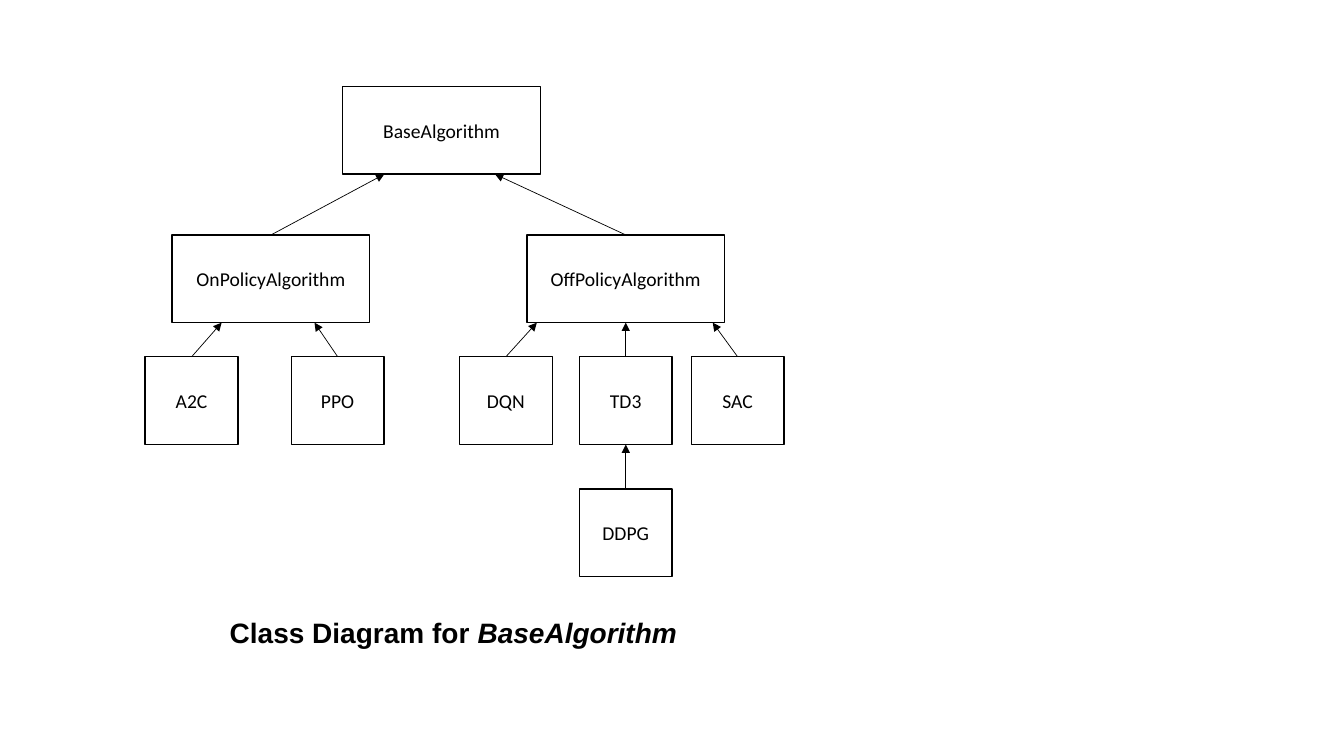
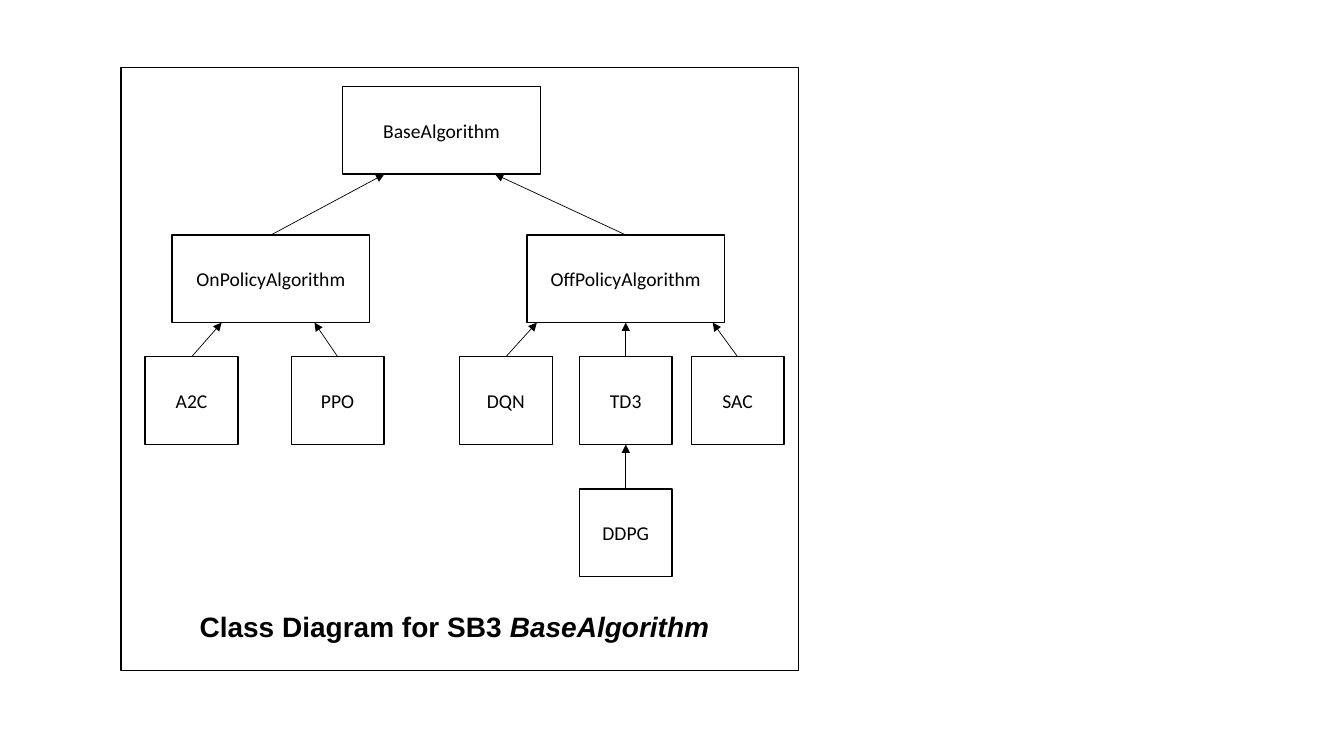
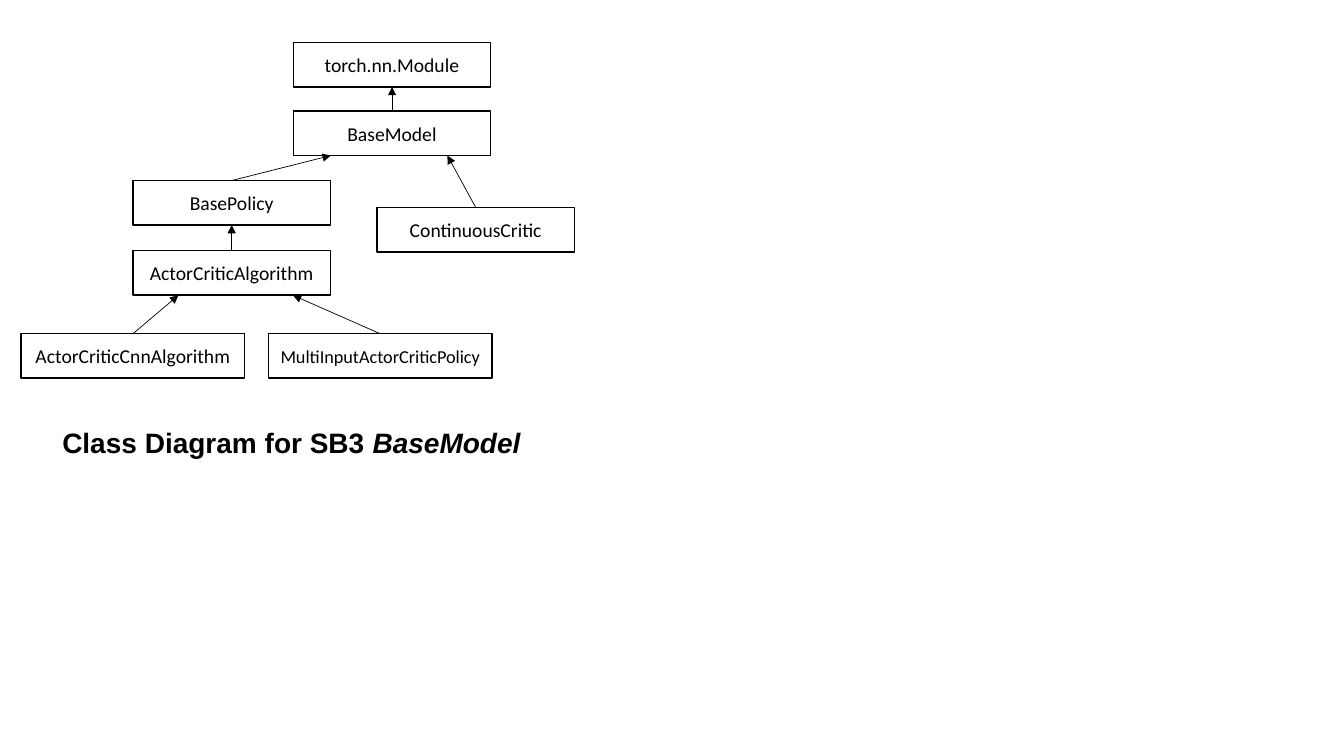
from lxml.etree import SubElement
from pptx import Presentation
from pptx.dml.color import RGBColor
from pptx.enum.shapes import MSO_CONNECTOR, MSO_SHAPE
from pptx.enum.text import MSO_ANCHOR, MSO_AUTO_SIZE, PP_ALIGN
from pptx.oxml.ns import qn
from pptx.util import Cm, Pt

BLACK = RGBColor(0x00, 0x00, 0x00)
WHITE = RGBColor(0xFF, 0xFF, 0xFF)
LABEL = {"name": "Calibri", "size": Pt(14)}
SMALL_LABEL = {"name": "Calibri", "size": Pt(13)}
CAPTION = {"name": "Arial", "size": Pt(20), "bold": True}

WIDE, NARROW, TALL = 4.98, 2.34, 2.21
LONG, LOW = 5.64, 1.12
TOP_Y, POLICY_Y, LEAF_Y, DDPG_Y = 0.48, 4.22, 7.29, 10.62

ALGORITHM_BOXES = {
    "BaseAlgorithm": (5.59, TOP_Y, WIDE, TALL),
    "OnPolicyAlgorithm": (1.29, POLICY_Y, WIDE, TALL),
    "OffPolicyAlgorithm": (10.23, POLICY_Y, WIDE, TALL),
    "A2C": (0.61, LEAF_Y, NARROW, TALL),
    "PPO": (4.29, LEAF_Y, NARROW, TALL),
    "DQN": (8.53, LEAF_Y, NARROW, TALL),
    "TD3": (11.55, LEAF_Y, NARROW, TALL),
    "DDPG": (11.55, DDPG_Y, NARROW, TALL),
    "SAC": (14.37, LEAF_Y, NARROW, TALL),
}
ALGORITHM_PARENTS = [
    ("SAC", "OffPolicyAlgorithm", 0.94),
    ("TD3", "OffPolicyAlgorithm", 0.5),
    ("DDPG", "TD3", 0.5),
    ("DQN", "OffPolicyAlgorithm", 0.05),
    ("OffPolicyAlgorithm", "BaseAlgorithm", 0.77),
    ("OnPolicyAlgorithm", "BaseAlgorithm", 0.21),
    ("A2C", "OnPolicyAlgorithm", 0.25),
    ("PPO", "OnPolicyAlgorithm", 0.72),
]
MODEL_BOXES = {
    "torch.nn.Module": (6.86, 0, WIDE, LOW),
    "BaseModel": (6.86, 1.73, WIDE, LOW),
    "BasePolicy": (2.82, 3.48, WIDE, LOW),
    "ActorCriticAlgorithm": (2.82, 5.25, WIDE, LOW),
    "ActorCriticCnnAlgorithm": (0, 7.34, LONG, LOW),
    "ContinuousCritic": (8.97, 4.16, WIDE, LOW),
    "MultiInputActorCriticPolicy": (6.23, 7.34, LONG, LOW),
}
MODEL_PARENTS = [
    ("BaseModel", "torch.nn.Module", 0.5),
    ("ContinuousCritic", "BaseModel", 0.78),
    ("ActorCriticAlgorithm", "BasePolicy", 0.5),
    ("BasePolicy", "BaseModel", 0.19),
    ("ActorCriticCnnAlgorithm", "ActorCriticAlgorithm", 0.23),
    ("MultiInputActorCriticPolicy", "ActorCriticAlgorithm", 0.81),
]


def place(origin, box):
    """Turn a box relative to an origin, in centimetres, into slide lengths."""
    x, y, w, h = box
    return Cm(origin[0] + x), Cm(origin[1] + y), Cm(w), Cm(h)


def paint(sp, fill):
    """Fill a shape with a colour, or leave it clear."""
    if fill is None:
        sp.fill.background()
    else:
        sp.fill.solid()
        sp.fill.fore_color.rgb = fill


def add_run(p, text, fmt):
    """Add a black run with the given font values."""
    r = p.add_run()
    r.text = text
    r.font.color.rgb = BLACK
    for key, value in fmt.items():
        setattr(r.font, key, value)


def add_rect(shapes, origin, box, fill):
    """Add an outlined rectangle."""
    sp = shapes.add_shape(MSO_SHAPE.RECTANGLE, *place(origin, box))
    sp.shadow.inherit = False
    paint(sp, fill)
    sp.line.color.rgb = BLACK
    sp.line.width = Pt(1)
    return sp


def add_class(shapes, origin, name, box, fill):
    """Add a rectangle with a class name in its middle."""
    sp = add_rect(shapes, origin, box, fill)
    tf = sp.text_frame
    tf.word_wrap = True
    tf.vertical_anchor = MSO_ANCHOR.MIDDLE
    p = tf.paragraphs[0]
    p.alignment = PP_ALIGN.CENTER
    add_run(p, name, SMALL_LABEL if len(name) > 25 else LABEL)
    return sp


def add_inheritance(shapes, child, parent, share):
    """Draw an arrow from a child's top to a share of its parent's bottom."""
    line = shapes.add_connector(
        MSO_CONNECTOR.STRAIGHT,
        child.left + child.width // 2, child.top,
        parent.left + int(parent.width * share), parent.top + parent.height)
    line.line.color.rgb = BLACK
    line.line.width = Pt(0.5)
    SubElement(line.line._get_or_add_ln(), qn("a:tailEnd"), type="triangle")
    SubElement(line._element.spPr, qn("a:effectLst"))


def add_caption(shapes, origin, box, lead, name, fill):
    """Add the bold caption, with the class name in italics."""
    sp = shapes.add_textbox(*place(origin, box))
    paint(sp, fill)
    tf = sp.text_frame
    tf.word_wrap = False
    tf.auto_size = MSO_AUTO_SIZE.SHAPE_TO_FIT_TEXT
    p = tf.paragraphs[0]
    add_run(p, lead, CAPTION)
    add_run(p, name, {**CAPTION, "italic": True})


def add_diagram(shapes, origin, boxes, parents, caption, frame=None, fill=None):
    """Draw a class diagram with its arrows and caption."""
    if frame:
        add_rect(shapes, origin, (0, 0, *frame), fill)
    nodes = {name: add_class(shapes, origin, name, box, fill)
             for name, box in boxes.items()}
    for child, parent, share in parents:
        add_inheritance(shapes, nodes[child], nodes[parent], share)
    add_caption(shapes, origin, *caption, fill)


def add_slide(prs):
    """Add a blank slide and return its shapes."""
    return prs.slides.add_slide(prs.slide_layouts[6]).shapes


def main():
    """Build the three class diagrams."""
    prs = Presentation()
    prs.slide_width, prs.slide_height = Cm(33.87), Cm(19.05)
    algorithm_origin, model_origin = (3.05, 1.7), (0.53, 1.07)

    add_diagram(
        add_slide(prs), algorithm_origin, ALGORITHM_BOXES, ALGORITHM_PARENTS,
        ((2.49, 13.69, 11.86, LOW), "Class Diagram for ", "BaseAlgorithm"))
    add_diagram(
        add_slide(prs).add_group_shape().shapes, algorithm_origin,
        ALGORITHM_BOXES, ALGORITHM_PARENTS,
        ((1.73, 13.54, 13.46, LOW), "Class Diagram for SB3 ", "BaseAlgorithm"),
        frame=(17.07, 15.19), fill=WHITE)
    add_diagram(
        add_slide(prs).add_group_shape().shapes, model_origin,
        MODEL_BOXES, MODEL_PARENTS,
        ((0.79, 9.52, 12.14, LOW), "Class Diagram for SB3 ", "BaseModel"))

    prs.save("out.pptx")


main()
